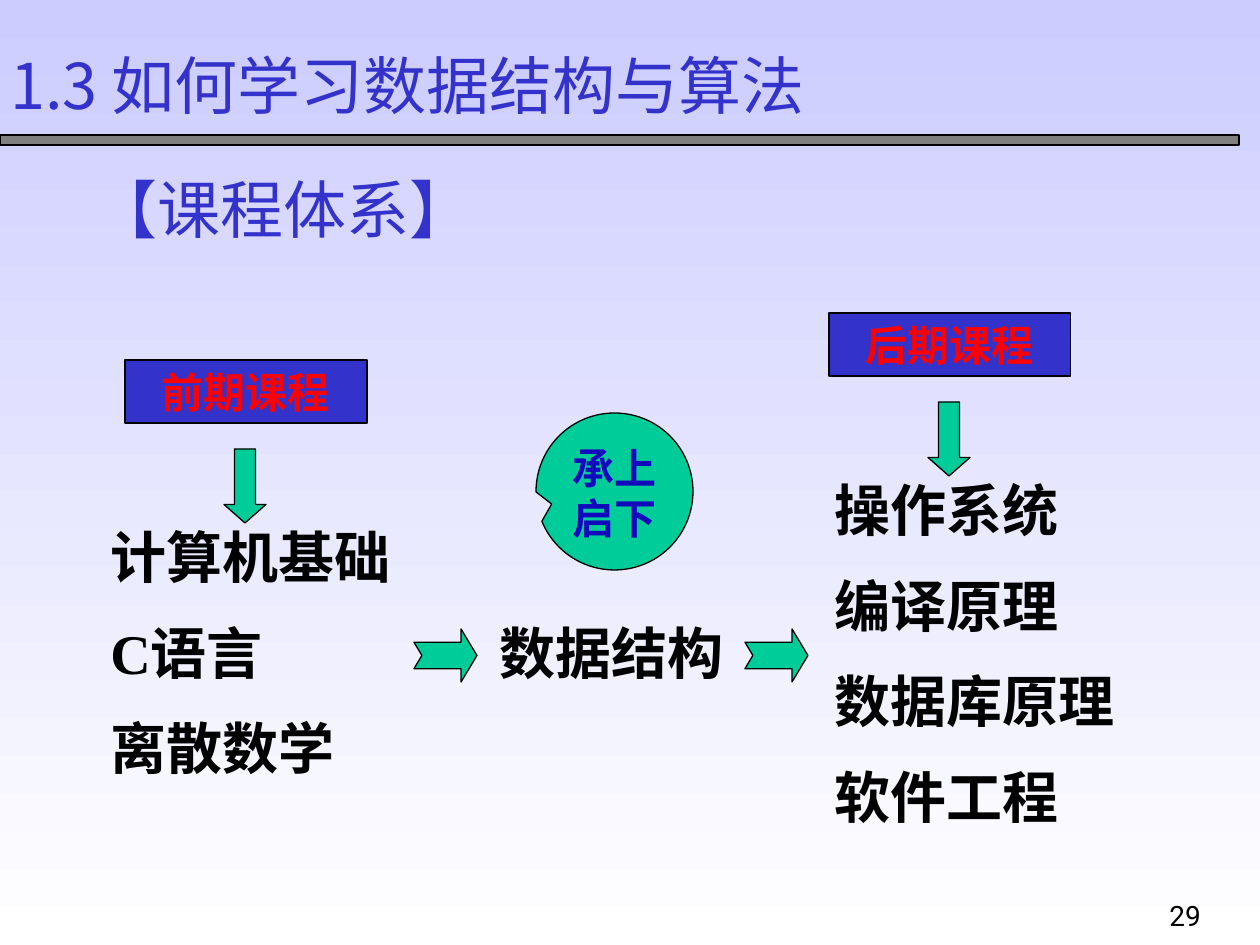
from pptx import Presentation
from pptx.dml.color import RGBColor
from pptx.enum.shapes import MSO_SHAPE as Preset
from pptx.enum.text import MSO_ANCHOR as Anchor, PP_ALIGN as Align
from pptx.util import Emu, Pt

PX = 914400 // 126

COLORS = {
    "sky": "CCCCFF",
    "white": "FFFFFF",
    "gray": "808080",
    "black": "000000",
    "blue": "3333CC",
    "deep_blue": "1209BD",
    "red": "FF0000",
    "green": "00CC99",
}
SERIF, SANS, CJK = "Times New Roman", "Roboto", "Noto Sans CJK SC"


def color(name):
    return RGBColor.from_string(COLORS[name])


def box(*lengths):
    return [Emu(length * PX) for length in lengths]


def format_run(run, font, size, ink, bold):
    run.font.name = font
    run.font.size = Pt(size)
    run.font.bold = bold
    run.font.color.rgb = color(ink)


def format_text(text_frame, font, size, ink, bold=False, align=Align.LEFT):
    text_frame.word_wrap = True
    for paragraph in text_frame.paragraphs:
        paragraph.alignment = align
        for run in paragraph.runs:
            format_run(run, font, size, ink, bold)


def add_text(slide, bounds, text, font, size, ink, bold=False):
    text_frame = slide.shapes.add_textbox(*box(*bounds)).text_frame
    text_frame.text = text
    format_text(text_frame, font, size, ink, bold)
    return text_frame


def add_shape(slide, preset, bounds, fill, adjustments=()):
    shape = slide.shapes.add_shape(preset, *box(*bounds))
    shape.shadow.inherit = False
    shape.fill.solid()
    shape.fill.fore_color.rgb = color(fill)
    shape.line.color.rgb = color("black")
    shape.line.width = Pt(0.75)
    for index, value in enumerate(adjustments):
        shape.adjustments[index] = value
    return shape


def add_label(shape, text, ink):
    text_frame = shape.text_frame
    text_frame.text = text
    text_frame.vertical_anchor = Anchor.TOP
    format_text(text_frame, SERIF, 24, ink, True, Align.CENTER)


def add_course_column(slide, left, top, list_left, heading, courses):
    # Heading, arrow down, then the list of courses
    header = add_shape(slide, Preset.RECTANGLE, (left, top, 242, 63), "blue")
    add_label(header, heading, "red")
    add_shape(slide, Preset.DOWN_ARROW, (left + 99, top + 89, 42, 74), "green",
              (0.5, 0.44))
    text_frame = add_text(slide, (list_left, top + 164, 368, 88 * len(courses)),
                          "\n".join(courses), SERIF, 32, "black", True)
    for index, paragraph in enumerate(text_frame.paragraphs):
        paragraph.line_spacing = 0.9
        if index:
            paragraph.space_before = Pt(20)


def add_background(slide):
    fill = slide.background.fill
    fill.gradient()
    fill.gradient_angle = 270
    for stop, name in zip(fill.gradient_stops, ("sky", "white")):
        stop.color.rgb = color(name)


def add_subtitle(slide):
    text_frame = add_text(slide, (82, 189, 440, 63), "", CJK, 36, "blue")
    text_frame.vertical_anchor = Anchor.BOTTOM
    for text, font in (("【", CJK), ("课程体系", SANS), ("】", CJK)):
        run = text_frame.paragraphs[0].add_run()
        run.text = text
        format_run(run, font, 36, "blue", False)


def main():
    presentation = Presentation()
    presentation.slide_width, presentation.slide_height = box(1260, 945)
    slide = presentation.slides.add_slide(presentation.slide_layouts[6])
    add_background(slide)

    # Title, rule and subtitle
    add_shape(slide, Preset.RECTANGLE, (0, 135, 1239, 10), "gray")
    add_text(slide, (-2, 40, 884, 88), "1.3 如何学习数据结构与算法", CJK, 36, "blue")
    add_subtitle(slide)

    # Courses before and after
    add_course_column(slide, 125, 360, 98, "前期课程",
                      ["计算机基础", "C语言", "离散数学"])
    add_course_column(slide, 829, 313, 822, "后期课程",
                      ["操作系统", "编译原理", "数据库原理", "软件工程"])

    # This course, between the two
    callout = add_shape(slide, Preset.OVAL_CALLOUT, (536, 413, 157, 157),
                        "green", (-0.4, 0.08))
    add_label(callout, "承上启下", "deep_blue")
    add_text(slide, (487, 612, 273, 81), "数据结构", SERIF, 32, "black", True)
    for left in (414, 745):
        add_shape(slide, Preset.NOTCHED_RIGHT_ARROW, (left, 629, 63, 53),
                  "green", (0.5, 0.3))

    # Page number
    add_text(slide, (1157, 892, 159, 53), "29", SANS, 16, "black")

    presentation.save("out.pptx")


if __name__ == "__main__":
    main()
